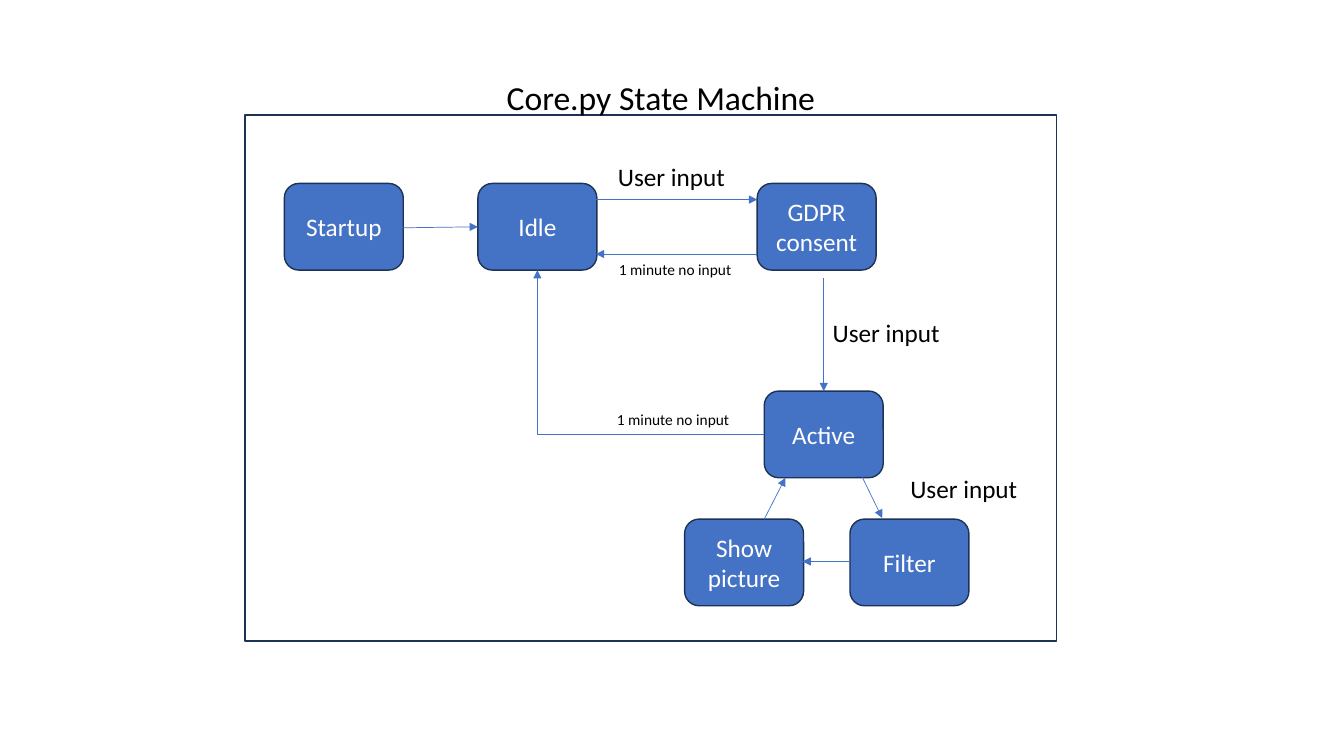
from lxml import etree
from pptx import Presentation
from pptx import util as u
from pptx.dml.color import RGBColor
from pptx.enum import shapes, text
from pptx.oxml import ns

BLUE = RGBColor(0x44, 0x72, 0xC4)
NAVY = RGBColor(0x1E, 0x32, 0x56)
WHITE = RGBColor(0xFF, 0xFF, 0xFF)
BLACK = RGBColor(0, 0, 0)
FONT = "Calibri"


def write(shape, words, size=18, color=BLACK, align=text.PP_ALIGN.LEFT,
          anchor=text.MSO_ANCHOR.TOP):
    frame = shape.text_frame
    frame.text = words
    frame.word_wrap = True
    frame.auto_size = text.MSO_AUTO_SIZE.NONE
    frame.vertical_anchor = anchor
    para = frame.paragraphs[0]
    para.alignment = align
    font = para.runs[0].font
    font.name, font.size = FONT, u.Pt(size)
    font.color.rgb = color


class Chart:
    """Draws the parts of a state machine on one slide."""
    wide, high = 1.18, 0.86

    def __init__(self, slide):
        self.slide = slide
        self.shapes = slide.shapes

    def box(self, kind, x, y, w, h, fill):
        shape = self.shapes.add_shape(kind, *map(u.Inches, (x, y, w, h)))
        shape.shadow.inherit = False
        shape.fill.solid()
        shape.fill.fore_color.rgb = fill
        shape.line.color.rgb = NAVY
        shape.line.width = u.Pt(1)
        return shape

    def state(self, name, x, y):
        shape = self.box(shapes.MSO_SHAPE.ROUNDED_RECTANGLE, x, y,
                         self.wide, self.high, BLUE)
        write(shape, name, color=WHITE, align=text.PP_ALIGN.CENTER,
              anchor=text.MSO_ANCHOR.MIDDLE)

    def label(self, words, x, y, size=18):
        high = 0.4 if size == 18 else 0.29
        shape = self.shapes.add_textbox(*map(u.Inches, (x, y, 1.36, high)))
        write(shape, words, size=size)

    def arrow(self, start, end, kind=shapes.MSO_CONNECTOR.STRAIGHT):
        line = self.shapes.add_connector(kind, *map(u.Inches, start + end))
        line.line.color.rgb = BLUE
        line.line.width = u.Pt(0.5)
        props = line._element.spPr
        etree.SubElement(props.find(ns.qn("a:ln")), ns.qn("a:tailEnd"),
                         type="triangle")
        etree.SubElement(props, ns.qn("a:effectLst"))
        return line

    def bend(self, start, end):
        # One corner: level from the start, then upright to the end
        line = self.arrow(end, start, shapes.MSO_CONNECTOR.ELBOW)
        props = line._element.spPr
        props.find(ns.qn("a:prstGeom")).set("prst", "bentConnector2")
        props.find(ns.qn("a:xfrm")).set("rot", str(180 * 60000))

    def title(self, words, x, y, w, h):
        shape = self.shapes.title
        shape.left, shape.top, shape.width, shape.height = map(
            u.Inches, (x, y, w, h))
        write(shape, words, size=24, align=text.PP_ALIGN.CENTER)
        # Bring the title in front of the frame
        self.shapes._spTree.append(shape._element)


deck = Presentation()
deck.slide_width, deck.slide_height = u.Inches(13.33), u.Inches(7.5)
chart = Chart(deck.slides.add_slide(deck.slide_layouts[5]))

# Frame and title
chart.box(shapes.MSO_SHAPE.RECTANGLE, 2.43, 1.14, 8.05, 5.22, WHITE)
chart.title("Core.py State Machine", 2.53, 0.71, 8.05, 0.5)

# States, in three rows
TOP, MID, LOW = 1.82, 3.88, 5.15
for name, x, y in (("Startup", 2.82, TOP), ("Idle", 4.74, TOP),
                   ("GDPR consent", 7.51, TOP), ("Active", 7.58, MID),
                   ("Filter", 8.43, LOW), ("Show picture", 6.79, LOW)):
    chart.state(name, x, y)

# Moves between states
for start, end in (((3.99, 2.26), (4.74, 2.25)),
                   ((5.91, 1.98), (7.51, 1.98)),
                   ((7.51, 2.52), (5.91, 2.52)),
                   ((8.17, 2.76), (8.17, MID)),
                   ((8.55, 4.73), (8.75, 5.14)),
                   ((8.43, 5.57), (7.96, 5.57)),
                   ((7.58, LOW), (7.79, 4.74))):
    chart.arrow(start, end)
chart.bend((7.58, 4.31), (5.33, 2.68))

# What sets off each move
for x, y in ((6.03, 1.55), (8.16, 3.1), (8.93, 4.65)):
    chart.label("User input", x, y)
for x, y in ((6.04, 2.53), (6.02, 4.02)):
    chart.label("1 minute no input", x, y, size=11)

deck.save("out.pptx")
